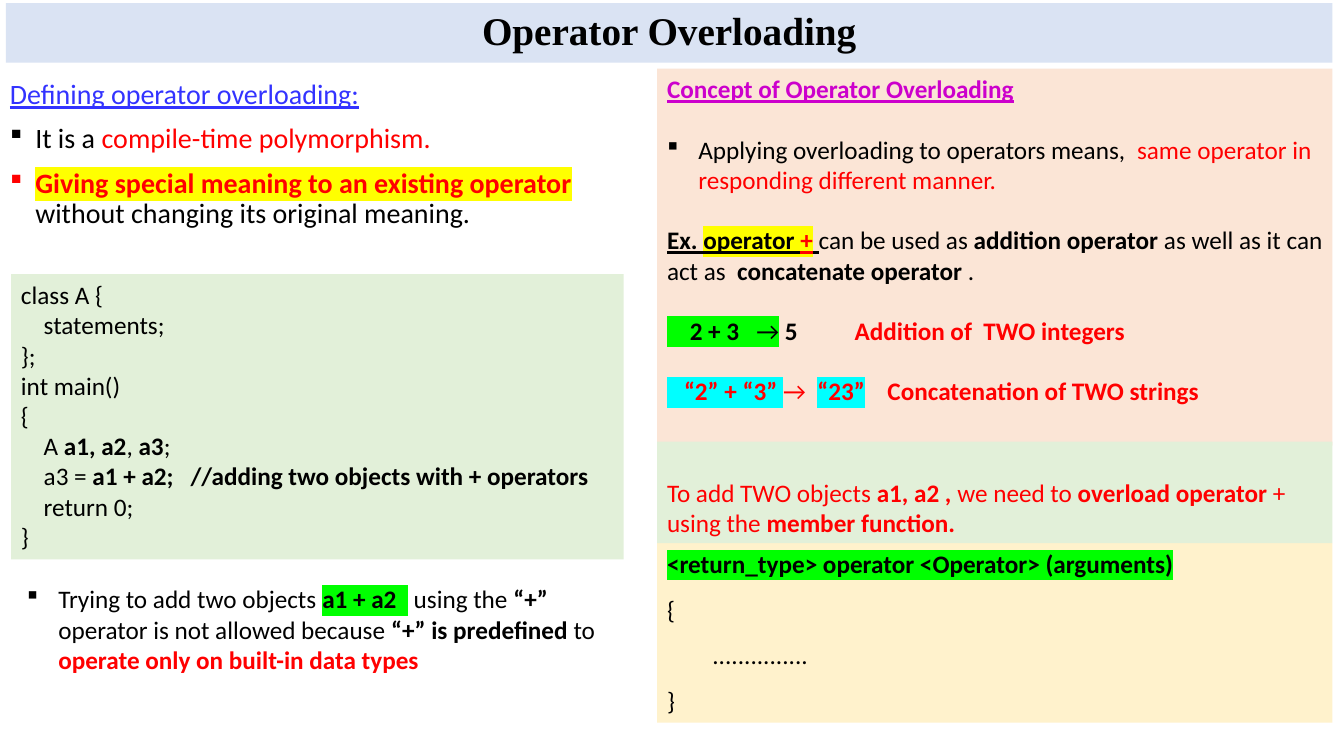
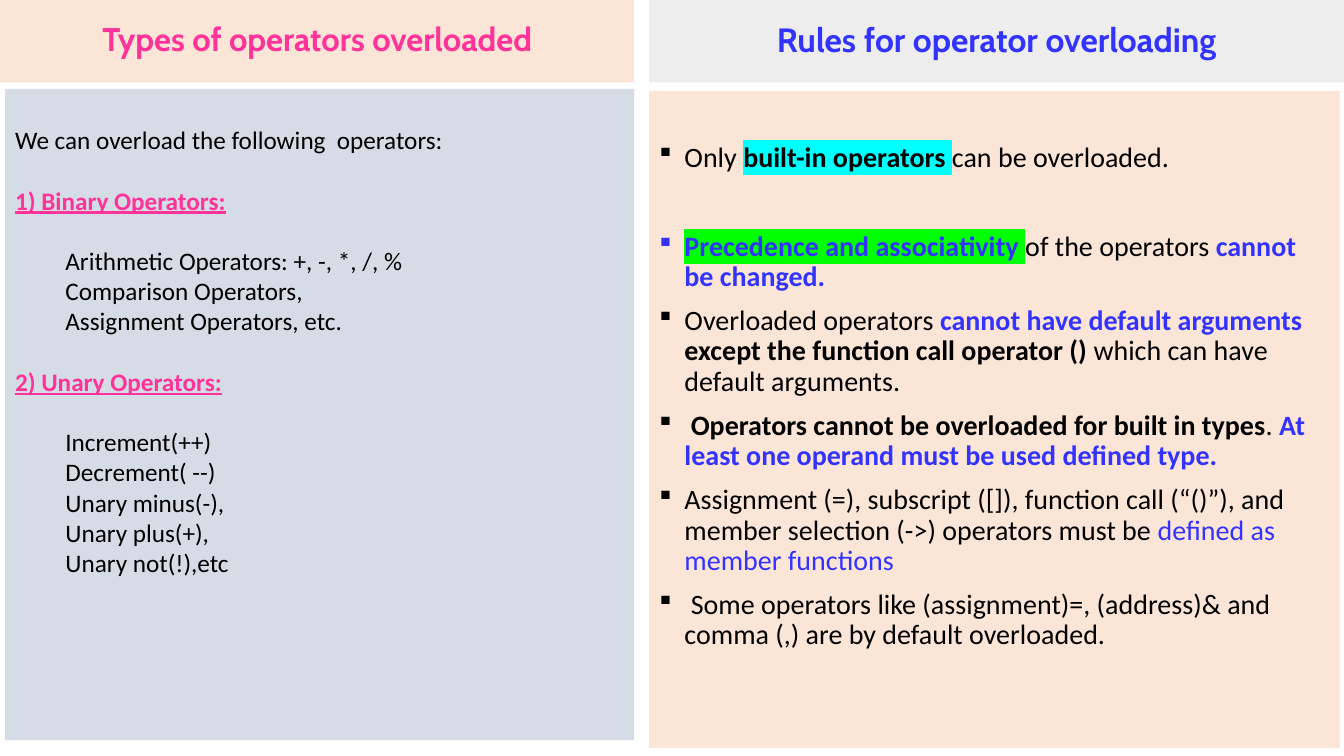
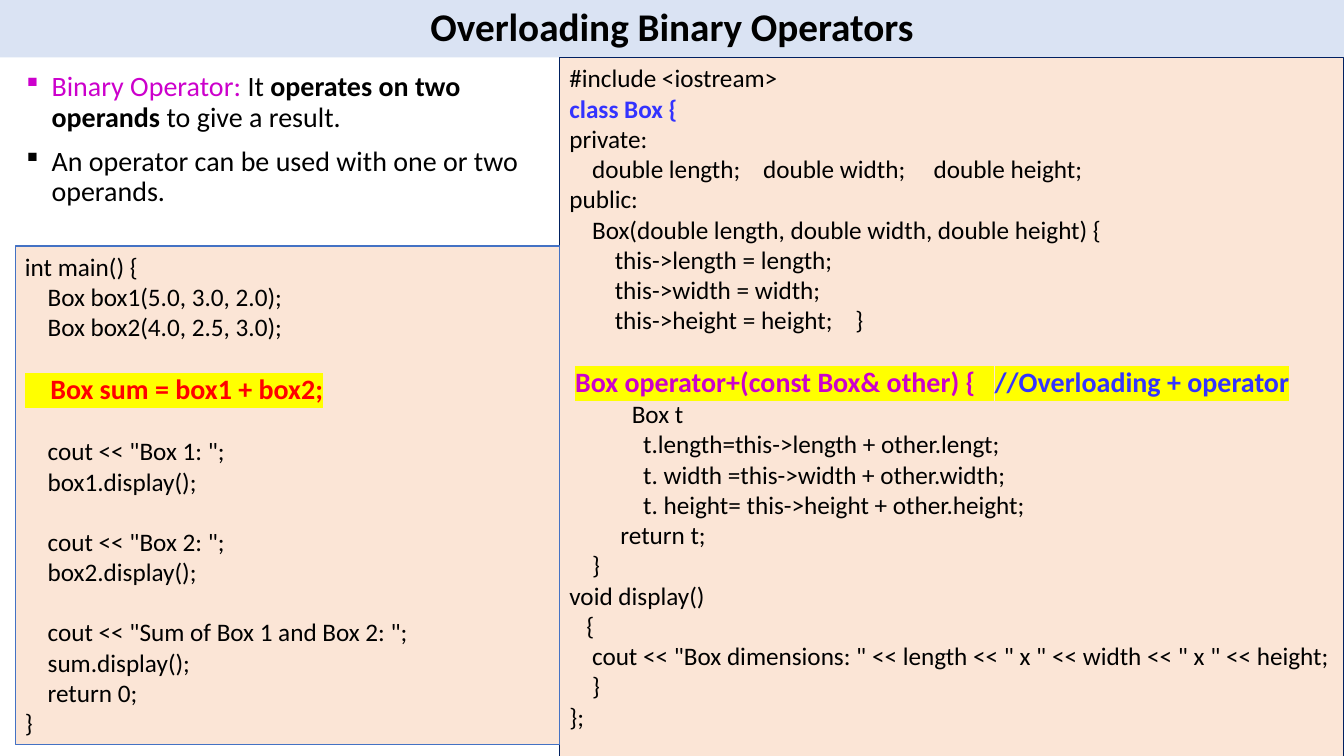
from dataclasses import dataclass

from lxml import etree
from pptx import Presentation
from pptx.dml.color import RGBColor
from pptx.enum import shapes, text
from pptx.oxml import ns
from pptx.util import Cm, Pt

BLACK, RED, BLUE, PURPLE, PINK = "000000", "FF0000", "3333FF", "CC00CC", "FF3399"
YELLOW, LIME, CYAN = "FFFF00", "00FF00", "00FFFF"
PALE_BLUE, PEACH, PALE_GREEN, CREAM = "DAE3F3", "FBE5D6", "E2F0D9", "FFF2CC"
PALE_GREY, SLATE = "EDEDED", "D6DCE5"
NAVY, MID_BLUE = "002060", "4472C4"

FONT = "Calibri"
LINE = 21.5     # points taken by one line of 18 pt text
SPACE = 0.143   # centimetres taken by one space of 18 pt text


@dataclass
class Run:
    words: str
    color: str = BLACK
    bold: bool = False
    underline: bool = False
    mark: str = ""
    size: float = 0


@dataclass
class Para:
    runs: tuple
    size: float = 18
    font: str = FONT
    before: float = 0
    spacing: float = 0
    indent: float = 0
    bullet: bool = False
    centered: bool = False


def rgb(value):
    return RGBColor.from_string(value)


def bold(words, color=BLACK, **style):
    return Run(words, color, True, **style)


def line(*runs, **layout):
    return Para(runs, **layout)


def bullet(*runs, **layout):
    return Para(runs, **{"indent": 0.79, "bullet": True, **layout})


def point(*runs, before=10):
    """A 20 pt bullet with tight lines."""
    return bullet(*runs, size=20, before=before, spacing=0.9, indent=0.64)


def code(*rows, before=0):
    """Plain code rows: leading spaces become indents, empty rows become gaps."""
    paras = []
    for row in rows:
        if not row:
            before += LINE
            continue
        words = row.lstrip(" ")
        paras.append(line(words, indent=(len(row) - len(words)) * SPACE, before=before))
        before = 0
    return paras


def child(parent, tag, **attributes):
    return etree.SubElement(parent, ns.qn(tag), **attributes)


def write_run(paragraph, run, para):
    piece = paragraph.add_run()
    piece.text = run.words
    font = piece.font
    font.name, font.size = para.font, Pt(run.size or para.size)
    font.bold, font.underline = run.bold, run.underline
    font.color.rgb = rgb(run.color)
    if run.mark:
        highlight = etree.Element(ns.qn("a:highlight"))
        child(highlight, "a:srgbClr", val=run.mark)
        piece._r.rPr.find(ns.qn("a:solidFill")).addnext(highlight)


def write_para(paragraph, para):
    paragraph.alignment = text.PP_ALIGN.CENTER if para.centered else text.PP_ALIGN.LEFT
    paragraph.space_before = Pt(para.before)
    if para.spacing:
        paragraph.line_spacing = para.spacing
    # Indent and square bullet
    props = paragraph._p.get_or_add_pPr()
    props.set("marL", str(Cm(para.indent)))
    props.set("indent", str(Cm(-para.indent if para.bullet else 0)))
    if para.bullet:
        child(props, "a:buFont", typeface="Wingdings", charset="2")
        child(props, "a:buChar", char="§")
    paragraph.font.name, paragraph.font.size = para.font, Pt(para.size)
    for run in para.runs:
        write_run(paragraph, Run(run) if isinstance(run, str) else run, para)


def panel(slide, box, paras, fill=None, border=None, top=0.13, middle=False):
    """A rectangle of text; box is left, top, width, height in centimetres."""
    place = [Cm(length) for length in box]
    if fill:
        area = slide.shapes.add_shape(shapes.MSO_SHAPE.RECTANGLE, *place)
        area.shadow.inherit = False
        area.fill.solid()
        area.fill.fore_color.rgb = rgb(fill)
        if border:
            area.line.color.rgb = rgb(border)
            area.line.width = Pt(0.75)
        else:
            area.line.fill.background()
    else:
        area = slide.shapes.add_textbox(*place)
    frame = area.text_frame
    frame.word_wrap = True
    frame.margin_top = Cm(top)
    frame.vertical_anchor = text.MSO_ANCHOR.MIDDLE if middle else text.MSO_ANCHOR.TOP
    for number, para in enumerate(paras):
        write_para(frame.add_paragraph() if number else frame.paragraphs[0], para)


def title_band(slide, box, words, fill=PALE_BLUE, color=BLACK, font=FONT, size=28):
    heading = line(bold(words, color), size=size, font=font, spacing=0.9, centered=True)
    panel(slide, box, [heading], fill, middle=True)


# Slide 1: what overloading is
def definition(slide, box):
    panel(slide, box, [
        line(Run("Defining operator overloading:", BLUE, underline=True),
             size=20, before=10, spacing=0.9),
        point("It is a ", Run("compile-time polymorphism.", RED)),
        point(bold("Giving special meaning to an existing operator", RED, mark=YELLOW),
              " without changing its original meaning."),
    ])


def class_example(slide, box):
    panel(slide, box, [
        *code("class A {", "    statements;", "};", "int main()", "{"),
        line("A ", bold("a1, a2"), ", ", bold("a3"), ";", indent=4 * SPACE),
        line("a3 = ", bold("a1 + a2;   //adding two objects with + operators"),
             indent=4 * SPACE),
        *code("    return 0;", "}"),
    ], PALE_GREEN)


def limitation(slide, box):
    panel(slide, box, [bullet(
        "Trying to add two objects ", bold("a1 + a2 ", mark=LIME), Run(" ", mark=LIME),
        " using the ", bold("“+”"), " operator is not allowed because ",
        bold("“+” is predefined "), "to ",
        bold("operate only on built-in data types", RED))])


def concept_column(slide, box):
    left, top, width, height = box
    member_top, syntax_top = top + 9.4, top + 11.96

    # Concept and its two examples
    panel(slide, (left, top, width, 9.5), [
        line(bold("Concept of Operator Overloading", PURPLE, underline=True)),
        bullet("Applying overloading to operators means,  ",
               Run("same operator in responding different manner.", RED), before=LINE),
        line(bold("Ex. ", underline=True), bold("operator ", underline=True, mark=YELLOW),
             bold("+", RED, underline=True, mark=YELLOW), Run(" ", underline=True),
             "can be used as ", bold("addition operator "), "as well as it can act as  ",
             bold("concatenate operator "), ".", before=LINE),
        line(Run("    ", mark=LIME), bold("2 + 3", mark=LIME), Run("   →", mark=LIME),
             " ", bold("5          "), bold("Addition of  TWO integers", RED), before=LINE),
        line(bold("   “2” + “3” ", RED, mark=CYAN), Run("→  ", RED),
             bold("“23”", RED, mark=CYAN), bold("    Concatenation of TWO strings", RED),
             before=LINE),
    ], PEACH)

    # Member function syntax
    panel(slide, (left, syntax_top, width, top + height - syntax_top), [
        line(bold("<return_type> operator <Operator> (arguments)", mark=LIME), before=10.9),
        line("{", before=10.9),
        line("...............", before=10.9, indent=8 * SPACE),
        line("}", before=10.9),
    ], CREAM)

    # Need for a member function
    panel(slide, (left, member_top, width, syntax_top - member_top), [
        line(Run("To add TWO objects ", RED), bold("a1, a2 , ", RED),
             Run("we need to ", RED), bold("overload operator ", RED),
             Run("+ using the ", RED), bold("member function.", RED)),
    ], PALE_GREEN, top=0.9)


# Slide 2: types and rules
def rules(slide, box):
    panel(slide, box, [
        point("Only ", bold("built-in operators ", mark=CYAN), "can be overloaded."),
        point(bold("Precedence and associativity", BLUE, mark=LIME), bold(" ", mark=LIME),
              "of the operators ", bold("cannot be changed.", BLUE), before=42),
        point("Overloaded operators ", bold("cannot have default arguments ", BLUE),
              bold("except the function call operator () "),
              "which can have default arguments."),
        point(" ", bold("Operators cannot be overloaded for built in types"), ". ",
              bold("At least one operand must be used defined type.", BLUE)),
        point("Assignment (=), subscript ([]), function call (“()”), and member "
              "selection (->) operators must be ", Run("defined as member functions", BLUE)),
        point(" Some operators like (assignment)=, (address)& and comma (,) are by "
              "default overloaded."),
    ], PEACH, top=1.31)


def operator_types(slide, box):
    groups = {
        "1) Binary Operators:": ("Arithmetic Operators: +, -, *, /, %",
                                 "Comparison Operators,", "Assignment Operators, etc."),
        "2) Unary Operators:": ("Increment(++)", "Decrement( --)", "Unary minus(-),",
                                "Unary plus(+),", "Unary not(!),etc"),
    }
    paras = [line("We can overload the following  operators:")]
    for heading, members in groups.items():
        paras.append(line(bold(heading, PINK, underline=True), before=LINE))
        for number, member in enumerate(members):
            paras.append(line(member, indent=1.27, before=0 if number else LINE))
    panel(slide, box, paras, SLATE, top=0.9)


# Slide 3: a binary operator in code
def binary_points(slide, box):
    panel(slide, box, [
        point(Run("Binary Operator: ", PURPLE), "It ", bold("operates on two operands"),
              " to give a result."),
        point("An operator can be used with one or two operands."),
    ])


def box_class(slide, box):
    panel(slide, box, [
        line("#include <iostream>"),
        line(bold("class Box {", BLUE)),
        *code("private:",
              "    double length;    double width;     double height;",
              "public:",
              "    Box(double length, double width, double height) {",
              "        this->length = length;",
              "        this->width = width;",
              "        this->height = height;    }"),
        line(bold(" ", PURPLE),
             bold("Box operator+(const Box& other) {   ", PURPLE, mark=YELLOW, size=20),
             bold("//Overloading + operator", BLUE, mark=YELLOW, size=20), before=LINE),
        *code("           Box t",
              "             t.length=this->length + other.lengt;",
              "             t. width =this->width + other.width;",
              "             t. height= this->height + other.height;",
              "         return t;",
              "    }",
              "void display()",
              "   {",
              '    cout << "Box dimensions: " << length << " x " << width << " x " << height;',
              "    }",
              "};"),
    ], PEACH, NAVY)


def main_function(slide, box):
    panel(slide, box, [
        *code("int main() {", "    Box box1(5.0, 3.0, 2.0);", "    Box box2(4.0, 2.5, 3.0);"),
        line(bold("    ", mark=YELLOW), bold("Box sum = box1 + box2;", RED, mark=YELLOW),
             size=20, before=LINE),
        *code('    cout << "Box 1: ";', "    box1.display();", "",
              '    cout << "Box 2: ";', "    box2.display();", "",
              '    cout << "Sum of Box 1 and Box 2: ";', "    sum.display();",
              "    return 0;", "}", before=LINE),
    ], PEACH, MID_BLUE)


deck = Presentation()
deck.slide_width, deck.slide_height = Cm(33.87), Cm(19.05)
overview, types_and_rules, binary = (
    deck.slides.add_slide(deck.slide_layouts[6]) for _ in range(3))

title_band(overview, (0.15, 0.08, 33.43, 1.5), "Operator Overloading", font="Times New Roman")
definition(overview, (0, 1.9, 16.56, 4.11))
class_example(overview, (0.28, 6.91, 15.44, 7.19))
limitation(overview, (0.43, 14.58, 15.16, 2.57))
concept_column(overview, (16.56, 1.73, 17.02, 16.48))

title_band(types_and_rules, (16.36, 0, 17.51, 2.08), "Rules for operator overloading",
           PALE_GREY, BLUE, "Cabin", 24)
rules(types_and_rules, (16.36, 2.29, 17.4, 16.56))
operator_types(types_and_rules, (0.13, 2.24, 15.85, 16.41))
title_band(types_and_rules, (0, 0, 15.98, 2.08), "Types of operators overloaded",
           PEACH, PINK, "Cabin", 23.4)

title_band(binary, (0, 0, 33.87, 1.45), "Overloading Binary Operators")
binary_points(binary, (0.41, 1.7, 13.36, 4.27))
box_class(binary, (14.1, 1.45, 19.77, 19.48))
main_function(binary, (0.38, 6.2, 13.72, 12.57))

deck.save("out.pptx")
